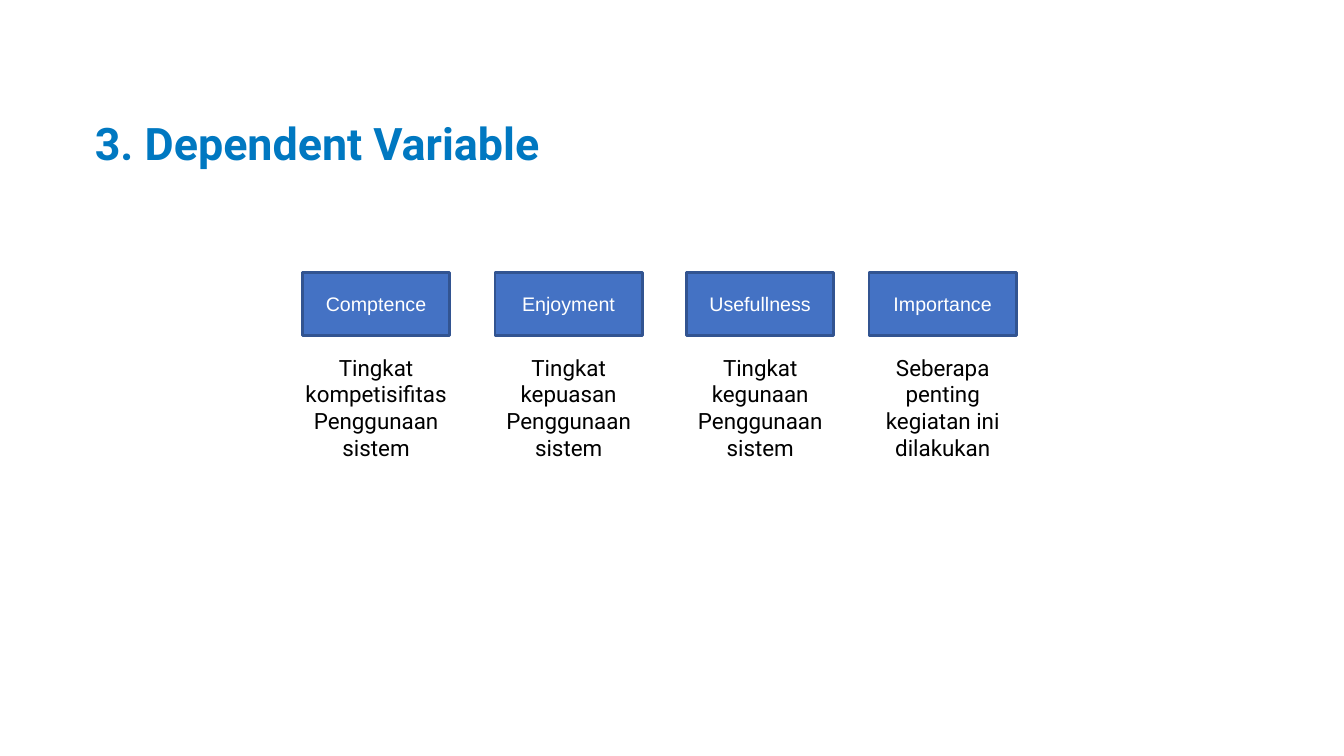
from pptx import Presentation
from pptx.dml.color import RGBColor
from pptx.enum.shapes import MSO_SHAPE
from pptx.enum.text import MSO_ANCHOR, MSO_AUTO_SIZE, PP_ALIGN
from pptx.util import Inches, Pt

RECTANGLE = MSO_SHAPE.RECTANGLE
TOP, MIDDLE, BOTTOM = MSO_ANCHOR.TOP, MSO_ANCHOR.MIDDLE, MSO_ANCHOR.BOTTOM
LEFT, CENTER = PP_ALIGN.LEFT, PP_ALIGN.CENTER
NO_FIT, GROW = MSO_AUTO_SIZE.NONE, MSO_AUTO_SIZE.SHAPE_TO_FIT_TEXT

TITLE_BLUE = RGBColor(0x00, 0x78, 0xC1)
BOX_BLUE = RGBColor(0x44, 0x72, 0xC4)
BOX_EDGE = RGBColor(0x32, 0x54, 0x91)
WHITE = RGBColor(0xFF, 0xFF, 0xFF)
BLACK = RGBColor(0x00, 0x00, 0x00)

TITLE_FONT = {"name": "Roboto", "size": Pt(32), "bold": True}
BOX_FONT = {"name": "Arial", "size": Pt(14)}
NOTE_FONT = {"name": "Roboto", "size": Pt(16)}

BOX_TOP, BOX_WIDTH, BOX_HEIGHT = 2.7, 1.46, 0.63
NOTE_TOP, NOTE_WIDTH, NOTE_HEIGHT = 3.46, 1.69, 1.18

# Left edge of the box, variable name, description paragraphs
VARIABLES = [
    (3.0, "Comptence", ["Tingkat kompetisifitas", "Penggunaan sistem"]),
    (4.91, "Enjoyment", ["Tingkat kepuasan Penggunaan sistem"]),
    (6.81, "Usefullness", ["Tingkat kegunaan Penggunaan sistem"]),
    (8.62, "Importance", ["Seberapa penting kegiatan ini dilakukan"]),
]


def write_text(sp, lines, font, color, anchor, align, fit=NO_FIT):
    tf = sp.text_frame
    tf.text = "\n".join(lines)
    frame = {
        "word_wrap": True, "auto_size": fit, "vertical_anchor": anchor,
        "margin_left": Inches(0.1), "margin_right": Inches(0.1),
        "margin_top": Inches(0.05), "margin_bottom": Inches(0.05),
    }
    for name, value in frame.items():
        setattr(tf, name, value)
    for p in tf.paragraphs:
        p.alignment = align
        for r in p.runs:
            for name, value in font.items():
                setattr(r.font, name, value)
            r.font.color.rgb = color


def set_title(s, text):
    sp = s.shapes.title
    sp.left, sp.top = Inches(0.84), Inches(1.11)
    sp.width, sp.height = Inches(10), Inches(0.63)
    write_text(sp, [text], TITLE_FONT, TITLE_BLUE, BOTTOM, LEFT)
    sp.text_frame.paragraphs[0].line_spacing = 0.9


def add_box(s, left, label):
    sp = s.shapes.add_shape(RECTANGLE, Inches(left), Inches(BOX_TOP),
                            Inches(BOX_WIDTH), Inches(BOX_HEIGHT))
    sp.shadow.inherit = False
    sp.fill.solid()
    sp.fill.fore_color.rgb = BOX_BLUE
    sp.line.color.rgb = BOX_EDGE
    sp.line.width = Pt(2)
    write_text(sp, [label], BOX_FONT, WHITE, MIDDLE, CENTER)


def add_note(s, left, lines):
    sp = s.shapes.add_textbox(Inches(left), Inches(NOTE_TOP),
                              Inches(NOTE_WIDTH), Inches(NOTE_HEIGHT))
    write_text(sp, lines, NOTE_FONT, BLACK, TOP, CENTER, GROW)


def main():
    prs = Presentation()
    prs.slide_width, prs.slide_height = Inches(13.33), Inches(7.5)
    s = prs.slides.add_slide(prs.slide_layouts.get_by_name("Title Only"))
    set_title(s, "3. Dependent Variable")

    # Each description is centred under its box
    for left, label, lines in VARIABLES:
        add_box(s, left, label)
        add_note(s, left - (NOTE_WIDTH - BOX_WIDTH) / 2, lines)

    prs.save("out.pptx")


if __name__ == "__main__":
    main()
